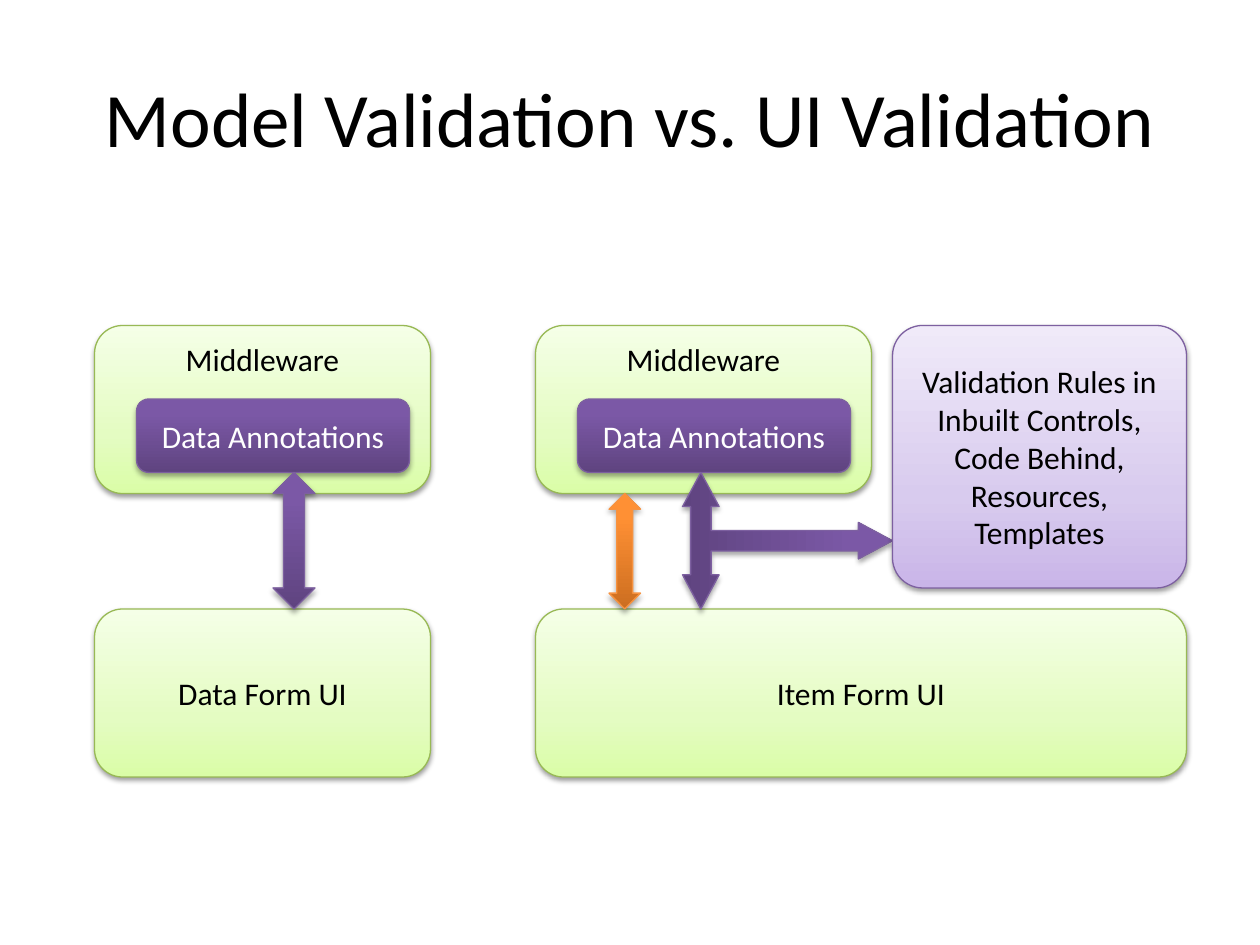
from lxml.etree import SubElement
from pptx import Presentation
from pptx.dml.color import RGBColor
from pptx.enum.shapes import MSO_SHAPE as Shape
from pptx.enum.text import MSO_ANCHOR as Anchor, PP_ALIGN as Align
from pptx.oxml.ns import qn
from pptx.util import Pt

FONT = "Calibri"
BLACK = RGBColor(0x00, 0x00, 0x00)
WHITE = RGBColor(0xFF, 0xFF, 0xFF)
GREEN_LINE = RGBColor(0x98, 0xB9, 0x55)
PURPLE_LINE = RGBColor(0x7D, 0x60, 0xA0)
ORANGE_LINE = RGBColor(0xF6, 0x92, 0x40)
GREEN_STOPS = [(0, RGBColor(0xDA, 0xFD, 0xA7)), (35, RGBColor(0xE4, 0xFC, 0xC2)),
               (100, RGBColor(0xF5, 0xFF, 0xE7))]
LILAC_STOPS = [(0, RGBColor(0xC9, 0xB5, 0xE8)), (35, RGBColor(0xD8, 0xCB, 0xEE)),
               (100, RGBColor(0xF0, 0xEA, 0xF9))]
PURPLE_STOPS = [(0, RGBColor(0x5F, 0x44, 0x80)), (80, RGBColor(0x7B, 0x58, 0xA6)),
                (100, RGBColor(0x7C, 0x57, 0xA8))]
ORANGE_STOPS = [(0, RGBColor(0xCC, 0x6E, 0x20)), (80, RGBColor(0xFF, 0x90, 0x34)),
                (100, RGBColor(0xFF, 0x91, 0x36))]

GREEN = dict(stops=GREEN_STOPS, line=GREEN_LINE, opacity=38, distance=1.6)
LILAC = dict(stops=LILAC_STOPS, line=PURPLE_LINE, opacity=38, distance=1.6)
PURPLE = dict(stops=PURPLE_STOPS, line=PURPLE_LINE, opacity=35, distance=1.8)
ORANGE = dict(stops=ORANGE_STOPS, line=ORANGE_LINE, opacity=35, distance=1.8)

BLOCK_WIDTH, BLOCK_HEIGHT = 192, 96
NOTE_WIDTH, NOTE_HEIGHT = 168, 150
INNER_LEFT, INNER_TOP, INNER_WIDTH, INNER_HEIGHT = 24, 42, 156, 42


def write_text(shape, text, size=18, color=BLACK, anchor=Anchor.MIDDLE):
    frame = shape.text_frame
    frame.word_wrap = True
    frame.vertical_anchor = anchor
    paragraph = frame.paragraphs[0]
    paragraph.alignment = Align.CENTER
    run = paragraph.add_run()
    run.text = text
    run.font.name = FONT
    run.font.size = Pt(size)
    run.font.color.rgb = color


def add_color(parent, color):
    return SubElement(parent, qn("a:srgbClr"), val=str(color))


def apply_style(shape, stops, line, opacity, distance):
    shape.fill.gradient()
    shape.fill.gradient_angle = 90
    properties = shape._element.spPr
    stop_list = properties.find(".//" + qn("a:gsLst"))
    for stop in list(stop_list):
        stop_list.remove(stop)
    for position, color in stops:
        add_color(SubElement(stop_list, qn("a:gs"), pos=str(position * 1000)), color)
    shape.line.color.rgb = line
    shape.line.width = Pt(0.75)
    shape.shadow.inherit = False
    shadow = SubElement(properties.find(qn("a:effectLst")), qn("a:outerShdw"),
                        blurRad=str(Pt(3.1)), dist=str(Pt(distance)),
                        dir="5400000", rotWithShape="0")
    SubElement(add_color(shadow, BLACK), qn("a:alpha"), val=str(opacity * 1000))


def add_styled(slide, kind, box, style):
    shape = slide.shapes.add_shape(kind, *[Pt(length) for length in box])
    apply_style(shape, **style)
    return shape


def add_block(slide, box, style, text, **text_format):
    block = add_styled(slide, Shape.ROUNDED_RECTANGLE, box, style)
    write_text(block, text, **text_format)
    return block


def add_title(slide, box, text):
    title = slide.shapes.title
    title.left, title.top, title.width, title.height = [Pt(length) for length in box]
    write_text(title, text, size=44)


def add_layers(slide, box, form_name):
    left, top, width, height = box
    add_block(slide, (left, top + height - BLOCK_HEIGHT, width, BLOCK_HEIGHT),
              GREEN, form_name)
    add_block(slide, (left, top, BLOCK_WIDTH, BLOCK_HEIGHT),
              GREEN, "Middleware", anchor=Anchor.TOP)
    add_block(slide, (left + INNER_LEFT, top + INNER_TOP, INNER_WIDTH, INNER_HEIGHT),
              PURPLE, "Data Annotations", color=WHITE)


def add_model_validation(slide, box):
    left, top, width, height = box
    add_layers(slide, box, "Data Form UI")
    arrow_top = INNER_TOP + INNER_HEIGHT
    add_styled(slide, Shape.UP_DOWN_ARROW,
               (left + 102, top + arrow_top, 24, height - BLOCK_HEIGHT - arrow_top), PURPLE)


def add_ui_validation(slide, box):
    left, top, width, height = box
    add_layers(slide, box, "Item Form UI")
    add_styled(slide, Shape.UP_DOWN_ARROW,
               (left + 42, top + BLOCK_HEIGHT, 18, height - 2 * BLOCK_HEIGHT), ORANGE)
    junction = add_styled(slide, Shape.LEFT_RIGHT_UP_ARROW,
                          (left + 105, top + 63, 78, 120), PURPLE)
    junction.rotation = 90
    for index, value in enumerate((0.15, 0.134, 0.25)):
        junction.adjustments[index] = value
    note = add_block(slide, (left + width - NOTE_WIDTH, top, NOTE_WIDTH, NOTE_HEIGHT), LILAC,
                     "Validation Rules in Inbuilt Controls, Code Behind, Resources, Templates")
    note.adjustments[0] = 0.115


def main():
    presentation = Presentation()
    presentation.slide_width = Pt(720)
    presentation.slide_height = Pt(540)
    slide = presentation.slides.add_slide(presentation.slide_layouts[5])
    add_title(slide, (36, 21.6, 648, 90), "Model Validation vs. UI Validation")
    add_model_validation(slide, (54, 186, 192, 258))
    add_ui_validation(slide, (306, 186, 372, 258))
    presentation.save("out.pptx")


if __name__ == "__main__":
    main()
